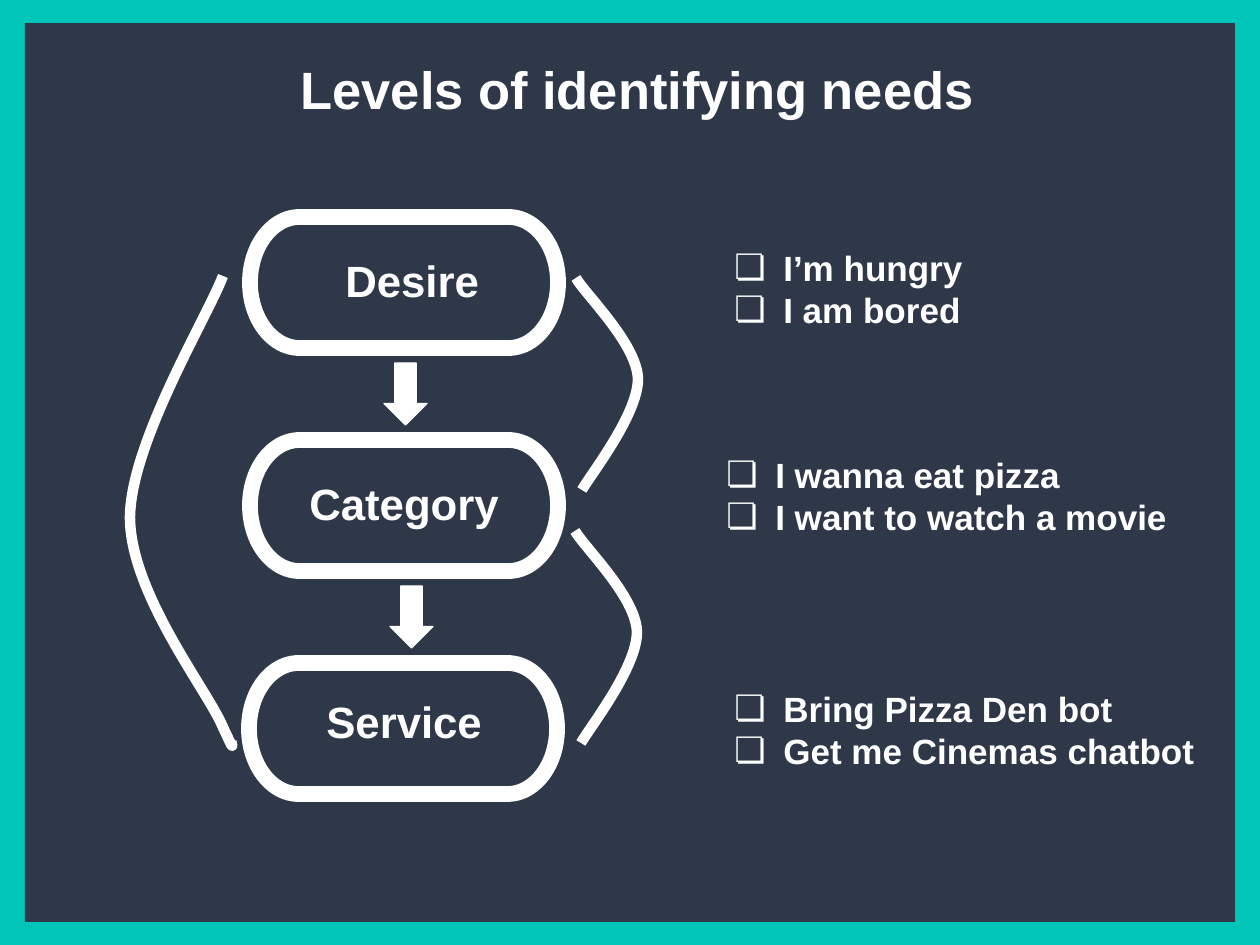
from dataclasses import dataclass

from lxml import etree
from pptx import Presentation
from pptx.dml.color import RGBColor
from pptx.enum.shapes import MSO_SHAPE
from pptx.enum.text import MSO_ANCHOR, PP_ALIGN
from pptx.oxml.ns import qn
from pptx.util import Pt

PX = 914400 / 126
FONT = "Arial"
TEAL, NAVY, WHITE = "00C5B9", "2F3848", "FFFFFF"
RECT = MSO_SHAPE.RECTANGLE
PILL = MSO_SHAPE.FLOWCHART_TERMINATOR
DOWN = MSO_SHAPE.DOWN_ARROW
LEFT, CENTER = PP_ALIGN.LEFT, PP_ALIGN.CENTER
TOP, MIDDLE = MSO_ANCHOR.TOP, MSO_ANCHOR.MIDDLE
INSET = Pt(7.2)
INDENT, HANGING = 63, -49


@dataclass(frozen=True)
class Box:
    x: int
    y: int
    w: int
    h: int


@dataclass(frozen=True)
class Level:
    name: str
    pill: Box
    label: Box
    examples: tuple[str, ...]
    example_box: Box


@dataclass(frozen=True)
class Link:
    """Chained cubic curves: a start point, then three points per curve."""
    points: tuple[tuple[int, int], ...]
    dx: int = 0
    dy: int = 0


LEVELS = (
    Level("Desire", Box(250, 217, 308, 131), Box(296, 241, 232, 74),
          ("I’m hungry", "I am bored"), Box(708, 234, 418, 105)),
    Level("Category", Box(250, 440, 308, 131), Box(288, 464, 232, 74),
          ("I wanna eat pizza", "I want to watch a movie"), Box(700, 441, 505, 105)),
    Level("Service", Box(249, 663, 308, 131), Box(288, 682, 232, 74),
          ("Bring Pizza Den bot", "Get me Cinemas chatbot"), Box(708, 675, 522, 105)),
)
ARROWS = (Box(384, 363, 43, 62), Box(390, 586, 43, 62))
RIGHT_BEND = ((582, 490), (592, 473), (639, 413), (638, 378),
              (636, 343), (586, 295), (576, 278))
LEFT_BEND = ((223, 276), (208, 316), (131, 442), (130, 517),
             (130, 592), (205, 687), (222, 725),
             (239, 762), (229, 738), (232, 741))
LINKS = (Link(RIGHT_BEND), Link(RIGHT_BEND, -1, 253), Link(LEFT_BEND))


def emu(px: float) -> int:
    return round(px * PX)


def color(value: str) -> RGBColor:
    return RGBColor.from_string(value)


def place(box: Box) -> tuple[int, int, int, int]:
    return emu(box.x), emu(box.y), emu(box.w), emu(box.h)


def add_shape(s, kind, box: Box, fill: str, line_width: float = 0):
    sp = s.shapes.add_shape(kind, *place(box))
    sp.shadow.inherit = False
    sp.fill.solid()
    sp.fill.fore_color.rgb = color(fill)
    if line_width:
        sp.line.color.rgb = color(WHITE)
        sp.line.width = Pt(line_width)
    else:
        sp.line.fill.background()
    return sp


def add_bullet(p) -> None:
    pPr = p._p.get_or_add_pPr()
    pPr.set("marL", str(emu(INDENT)))
    pPr.set("indent", str(emu(HANGING)))
    bullet_color = etree.SubElement(pPr, qn("a:buClr"))
    etree.SubElement(bullet_color, qn("a:srgbClr")).set("val", WHITE)
    etree.SubElement(pPr, qn("a:buFont")).set("typeface", FONT)
    etree.SubElement(pPr, qn("a:buChar")).set("char", "❏")


def write(sp, text: str, size: int, align=CENTER, anchor=TOP, bullets: bool = False) -> None:
    tf = sp.text_frame
    tf.text = text
    tf.word_wrap = True
    tf.vertical_anchor = anchor
    tf.margin_left = tf.margin_right = tf.margin_top = tf.margin_bottom = INSET
    for p in tf.paragraphs:
        p.alignment = align
        if bullets:
            add_bullet(p)
        for r in p.runs:
            r.font.name = FONT
            r.font.size = Pt(size)
            r.font.bold = True
            r.font.color.rgb = color(WHITE)


def add_link(s, link: Link) -> None:
    """Join the curve ends with lines, then turn each line into a cubic curve."""
    pts = [(emu(x + link.dx), emu(y + link.dy)) for x, y in link.points]
    builder = s.shapes.build_freeform(*pts[0])
    builder.add_line_segments(pts[3::3], close=False)
    sp = builder.convert_to_shape()
    lines = list(sp.element.iter(qn("a:lnTo")))
    for i, line in enumerate(lines):
        curve = etree.Element(qn("a:cubicBezTo"))
        for x, y in pts[3 * i + 1:3 * i + 4]:
            pt = etree.SubElement(curve, qn("a:pt"))
            pt.set("x", str(x - sp.left))
            pt.set("y", str(y - sp.top))
        line.getparent().replace(line, curve)
    sp.shadow.inherit = False
    sp.fill.background()
    sp.line.color.rgb = color(WHITE)
    sp.line.width = Pt(6)


def add_level(s, level: Level) -> None:
    add_shape(s, PILL, level.pill, NAVY, 9)
    write(s.shapes.add_textbox(*place(level.label)), level.name, 25)
    write(s.shapes.add_textbox(*place(level.example_box)),
          "\n".join(level.examples), 20, LEFT, bullets=True)


def main() -> None:
    prs = Presentation()
    prs.slide_width, prs.slide_height = emu(1260), emu(945)
    s = prs.slides.add_slide(prs.slide_layouts[5])
    s.background.fill.solid()
    s.background.fill.fore_color.rgb = color(TEAL)

    title = s.shapes.title
    title.left, title.top, title.width, title.height = place(Box(89, 22, 1097, 134))
    write(title, "Levels of identifying needs", 30, anchor=MIDDLE)
    panel = add_shape(s, RECT, Box(25, 23, 1210, 899), NAVY)
    title.element.addprevious(panel.element)

    for level in LEVELS:
        add_level(s, level)
    for link in LINKS:
        add_link(s, link)
    for arrow in ARROWS:
        add_shape(s, DOWN, arrow, WHITE, 0.75)
    prs.save("out.pptx")


if __name__ == "__main__":
    main()
